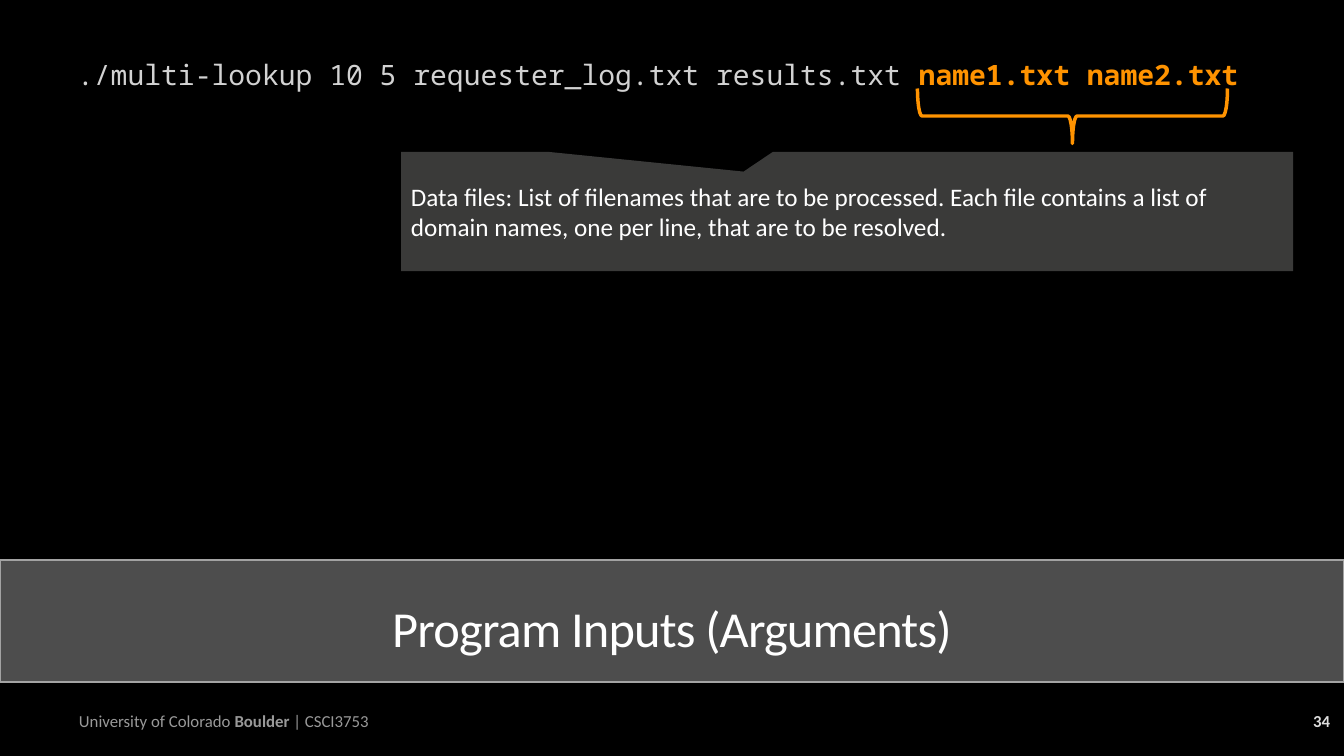
"""Build the slide on the program's input arguments."""
from pptx import Presentation
from pptx.dml.color import RGBColor
from pptx.enum.shapes import MSO_SHAPE
from pptx.enum.text import MSO_ANCHOR, MSO_AUTO_SIZE, PP_ALIGN
from pptx.oxml.ns import qn
from pptx.util import Emu, Pt

SCALE = 914400 / 100.8
BLACK = RGBColor(0x00, 0x00, 0x00)
WHITE = RGBColor(0xFF, 0xFF, 0xFF)
ORANGE = RGBColor(0xFF, 0x93, 0x00)
BAND = RGBColor(0x4D, 0x4D, 0x4D)
EDGE = RGBColor(0xA3, 0xA3, 0xA3)
NOTE = RGBColor(0x3A, 0x3A, 0x39)
FOOT = RGBColor(0x99, 0x99, 0x99)
PAGE = RGBColor(0xDD, 0xDD, 0xDD)
CODE = RGBColor(0xD2, 0xD2, 0xD2)
SANS = "Calibri"
MONO = "Noto Sans Mono"


def px(*values):
    return [Emu(round(value * SCALE)) for value in values]


def write(shape, *runs, size, color, font=SANS, align=PP_ALIGN.LEFT,
          anchor=MSO_ANCHOR.MIDDLE, lead=1.0, track=0):
    frame = shape.text_frame
    frame.word_wrap = True
    frame.auto_size = MSO_AUTO_SIZE.NONE
    frame.vertical_anchor = anchor
    para = frame.paragraphs[0]
    para.alignment = align
    para.line_spacing = lead
    para.space_before = Pt(0)
    for text, bold, tint in runs:
        run = para.add_run()
        run.text = text
        run.font.name = font
        run.font.size = Pt(size)
        run.font.bold = bold
        run.font.color.rgb = tint or color
        if track:
            run._r.get_or_add_rPr().set("spc", str(track))
    return para


class Deck:
    def __init__(self):
        self.show = Presentation()
        self.show.slide_width, self.show.slide_height = px(1344, 756)
        self.slide = self.show.slides.add_slide(self.show.slide_layouts[1])
        self.shapes = self.slide.shapes
        fill = self.slide.background.fill
        fill.solid()
        fill.fore_color.rgb = BLACK

    def place(self, shape, box):
        shape.left, shape.top, shape.width, shape.height = px(*box)
        return shape

    def shape(self, kind, box, fill=None, line=None, width=1):
        shape = self.shapes.add_shape(kind, *px(*box))
        shape.shadow.inherit = False
        if fill:
            shape.fill.solid()
            shape.fill.fore_color.rgb = fill
        else:
            shape.fill.background()
        if line:
            shape.line.color.rgb = line
            shape.line.width = Pt(width)
        else:
            shape.line.fill.background()
        return shape

    def band(self, box):
        band = self.shape(MSO_SHAPE.RECTANGLE, box, BAND, EDGE, 0.85)
        self.shapes._spTree.insert(2, band._element)

    def title(self, text, box):
        title = self.place(self.shapes.title, box)
        write(title, (text, False, None), size=36, color=WHITE,
              align=PP_ALIGN.CENTER, lead=0.9, track=-60)

    def command(self, box, *runs):
        body = self.place(self.slide.placeholders[1], box)
        body.text_frame.margin_top = 0
        para = write(body, *runs, size=20, color=CODE, font=MONO,
                     anchor=MSO_ANCHOR.TOP, lead=0.8)
        props = para._p.get_or_add_pPr()
        props.set("marL", "0")
        props.set("indent", "0")
        props.append(props.makeelement(qn("a:buNone"), {}))

    def label(self, box, *runs, **style):
        write(self.shapes.add_textbox(*px(*box)), *runs, size=12, **style)

    def callout(self, text, box, tip):
        note = self.shape(MSO_SHAPE.RECTANGULAR_CALLOUT, box, NOTE)
        note.adjustments[0], note.adjustments[1] = tip
        write(note, (text, False, None), size=18, color=WHITE)

    def brace(self, box):
        brace = self.shape(MSO_SHAPE.LEFT_BRACE, box, line=ORANGE, width=2.5)
        brace.rotation = 270


def main():
    deck = Deck()
    deck.band((0, 560, 1344, 122))
    deck.title("Program Inputs (Arguments)", (99, 579, 1146, 105))
    deck.command(
        (67, 64, 1212, 40),
        ("./multi-lookup 10 5 requester_log.txt results.txt ", False, None),
        ("name1.txt name2.txt", True, ORANGE))
    deck.label(
        (69, 701, 1009, 40), ("University of Colorado ", False, None),
        ("Boulder", True, None), (" | CSCI3753", False, None), color=FOOT)
    deck.label((1172, 701, 168, 40), ("34", True, None), color=PAGE,
               align=PP_ALIGN.RIGHT)
    deck.callout(
        "Data files: List of filenames that are to be processed. Each file "
        "contains a list of domain names, one per line, that are to be "
        "resolved.", (401, 152, 892, 119), (-0.116, -0.335))
    deck.brace((1045, -39, 55, 310))
    deck.show.save("out.pptx")


if __name__ == "__main__":
    main()
